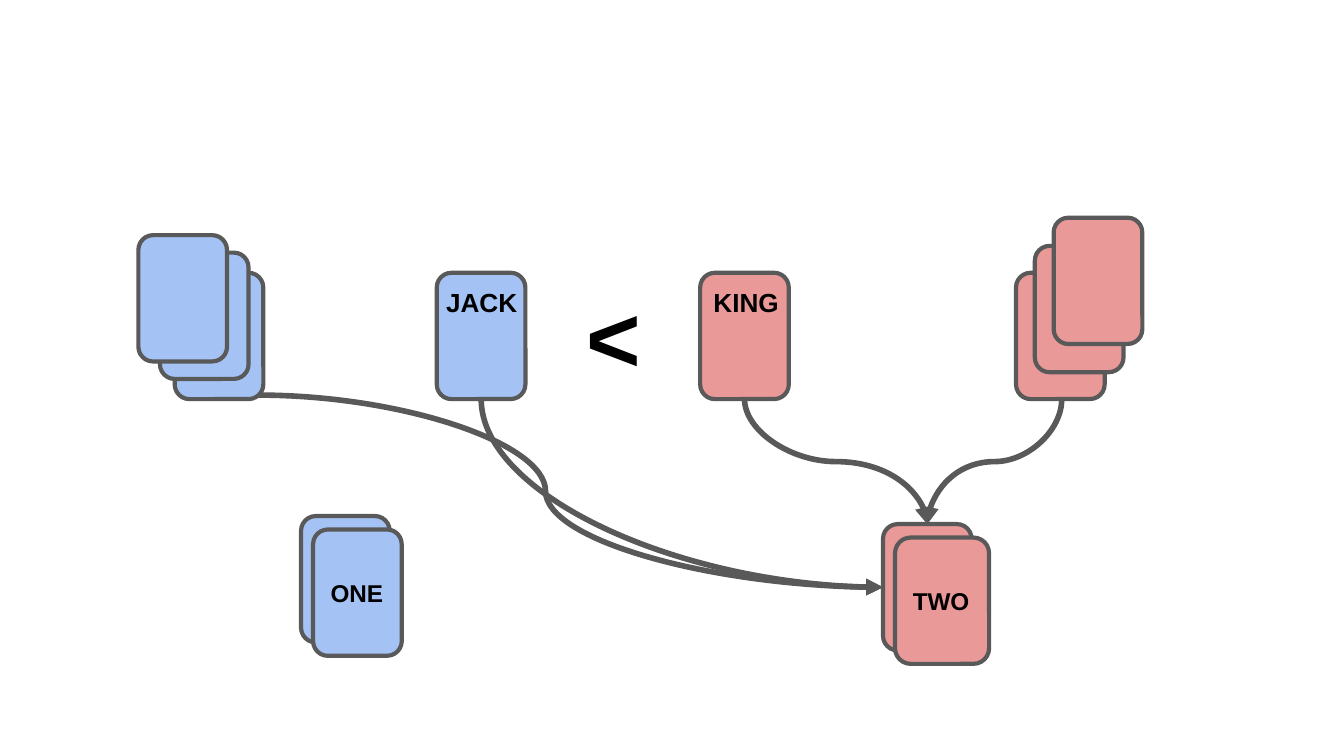
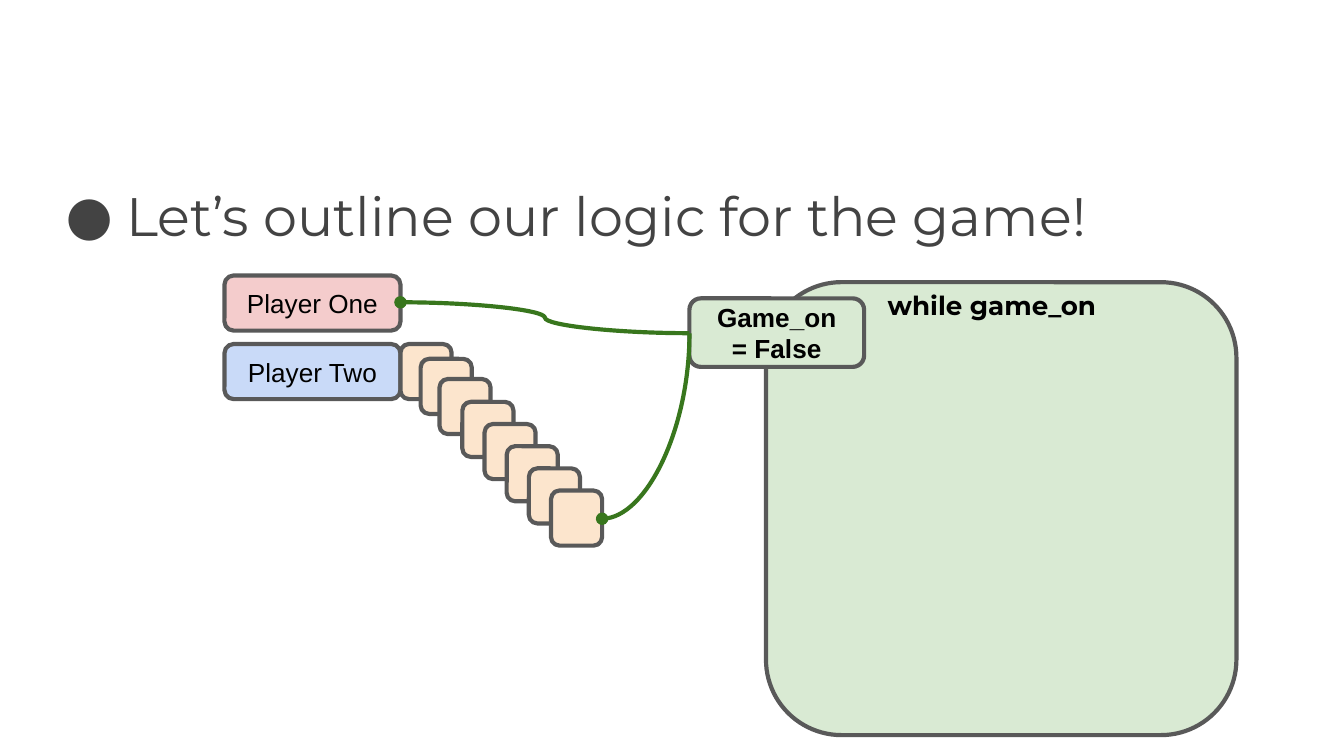
from lxml.etree import SubElement
from pptx import Presentation
from pptx.dml.color import RGBColor
from pptx.enum.shapes import MSO_CONNECTOR, MSO_SHAPE
from pptx.enum.text import MSO_ANCHOR, PP_ALIGN
from pptx.oxml.ns import qn
from pptx.util import Inches, Pt

COLORS = {
    "outline": "595959", "text": "000000", "body": "434343",
    "blue": "A4C2F4", "red": "EA9999",
    "player one": "F4CCCC", "player two": "C9DAF8",
    "hand": "FCE5CD", "loop": "D9EAD3", "exit": "38761D",
}

# Slide 1: the war round
CARD_HEIGHT = 0.94
# left, top, width, colour, label; listed from back to front
CARDS = [
    (1.3, 2.03, 0.66, "blue", ""), (1.19, 1.88, 0.66, "blue", ""),
    (1.03, 1.75, 0.66, "blue", ""),
    (7.56, 2.03, 0.66, "red", ""), (7.7, 1.83, 0.66, "red", ""),
    (7.84, 1.62, 0.66, "red", ""),
    (2.24, 3.84, 0.66, "blue", ""), (2.33, 3.94, 0.66, "blue", "ONE"),
    (6.57, 3.9, 0.66, "red", ""), (6.66, 4, 0.7, "red", "TWO"),
    (3.25, 2.03, 0.66, "blue", ""), (5.21, 2.03, 0.66, "red", ""),
]
# text, left, top, size, alignment
CARD_LABELS = [
    ("<", 4.02, 1.98, 50, PP_ALIGN.CENTER),
    ("JACK", 3.22, 2.03, 14, PP_ALIGN.LEFT),
    ("KING", 5.21, 2.03, 14, PP_ALIGN.LEFT),
]
PILE_SIDE, PILE_TOP = (6.57, 4.37), (6.9, 3.9)
# start, end, leaves downwards, bends once, midpoint share
CARD_MOVES = [
    ((3.58, 2.97), PILE_SIDE, True, True, 0.5),
    ((1.92, 2.94), PILE_SIDE, False, False, 0.46),
    ((5.54, 2.97), PILE_TOP, True, False, 0.5),
    ((7.9, 2.97), PILE_TOP, True, False, 0.5),
]

# Slide 2: the game loop
HEADLINE = "Let’s outline our logic for the game!"
PLAYERS = [("Player One", 2.05, "player one"), ("Player Two", 2.56, "player two")]
HAND = (0.38, 0.41)
HAND_START = [(2.98, 2.56), (3.13, 2.67), (3.27, 2.82)]
HAND_FIRST_EVEN, HAND_LAST, HAND_EVEN_COUNT = (3.44, 2.99), (4.1, 3.65), 5
EXIT_POINT = (5.13, 2.48)
EXIT_LINKS = [
    (EXIT_POINT, (2.98, 2.25), False, False, 0.5),
    (EXIT_POINT, (4.48, 3.86), True, True, 0.5),
]


def rgb(name):
    return RGBColor.from_string(COLORS[name])


def write(shape, text, size, bold=False, align=PP_ALIGN.LEFT,
          anchor=MSO_ANCHOR.TOP, font="Arial", color="text"):
    frame = shape.text_frame
    frame.word_wrap = True
    frame.vertical_anchor = anchor
    frame.margin_left = frame.margin_right = Inches(0.1)
    frame.margin_top = frame.margin_bottom = Inches(0.1)
    frame.text = text
    para = frame.paragraphs[0]
    para.alignment = align
    span = para.runs[0].font
    span.name, span.size, span.bold = font, Pt(size), bold
    span.color.rgb = rgb(color)
    return para


def add_label(page, place, text, size, **style):
    box = page.shapes.add_textbox(*map(Inches, place))
    return write(box, text, size, **style)


def add_box(page, place, color, text="", size=14, **style):
    box = page.shapes.add_shape(MSO_SHAPE.ROUNDED_RECTANGLE, *map(Inches, place))
    box.shadow.inherit = False
    box.fill.solid()
    box.fill.fore_color.rgb = rgb(color)
    box.line.color.rgb = rgb("outline")
    box.line.width = Pt(2.25)
    if text:
        write(box, text, size, anchor=MSO_ANCHOR.MIDDLE, **style)


def add_curve(page, start, end, downwards, one_bend, share, color, width, head):
    (x1, y1), (x2, y2) = start, end
    ends = (x1, y1, x2, y2)
    if downwards:
        # The frame lies on its side around the same centre, then is turned
        half_w, half_h = abs(y2 - y1) / 2, abs(x2 - x1) / 2
        mid_x, mid_y = (x1 + x2) / 2, (y1 + y2) / 2
        ends = (mid_x - half_w, mid_y - half_h, mid_x + half_w, mid_y + half_h)
    curve = page.shapes.add_connector(MSO_CONNECTOR.CURVE, *map(Inches, ends))
    curve.line.color.rgb = rgb(color)
    curve.line.width = Pt(width)
    properties = curve._element.spPr
    if downwards:
        frame = properties.find(qn("a:xfrm"))
        frame.set("rot", str((270 if x2 > x1 else 90) * 60000))
        if x2 > x1:
            frame.set("flipH", "1")
    geometry = properties.find(qn("a:prstGeom"))
    if one_bend:
        geometry.set("prst", "curvedConnector2")
    else:
        guides = geometry.find(qn("a:avLst"))
        SubElement(guides, qn("a:gd"), name="adj1", fmla=f"val {round(share * 100000)}")
    SubElement(properties.find(qn("a:ln")), qn("a:tailEnd"), type=head)
    SubElement(properties, qn("a:effectLst"))


def add_bullet(para, color, font):
    settings = para._p.get_or_add_pPr()
    settings.set("marL", str(Inches(0.5)))
    settings.set("indent", str(Inches(-0.45)))
    bullet_color = SubElement(settings, qn("a:buClr"))
    SubElement(bullet_color, qn("a:srgbClr"), val=COLORS[color])
    SubElement(settings, qn("a:buFont"), typeface=font)
    SubElement(settings, qn("a:buChar"), char="●")


def build_round(page):
    for left, top, width, color, text in CARDS:
        add_box(page, (left, top, width, CARD_HEIGHT), color, text, 13, bold=True)
    for text, left, top, size, align in CARD_LABELS:
        add_label(page, (left, top, 1.09, 0.48), text, size, bold=True, align=align)
    for move in CARD_MOVES:
        add_curve(page, *move, "outline", 3, "triangle")


def build_loop(page):
    center = PP_ALIGN.CENTER
    add_box(page, (5.7, 2.1, 3.5, 3.37), "loop")
    headline = add_label(page, (0.34, 1.26, 9.5, 3.74), HEADLINE, 29,
                         font="Montserrat", color="body")
    add_bullet(headline, "body", "Montserrat")

    # Players and the hand
    for text, top, color in PLAYERS:
        add_box(page, (1.67, top, 1.31, 0.41), color, text, align=center)
    left, top = HAND_FIRST_EVEN
    step = (HAND_LAST[0] - left) / (HAND_EVEN_COUNT - 1)
    even = [(left + i * step, top + i * step) for i in range(HAND_EVEN_COUNT)]
    for corner in HAND_START + even:
        add_box(page, corner + HAND, "hand")

    # Loop title and its way out
    add_label(page, (6.14, 2.05, 2.48, 0.41), "while game_on", 14,
              bold=True, align=center, font="Montserrat")
    add_box(page, (5.13, 2.22, 1.3, 0.51), "loop", "Game_on = False",
            bold=True, align=center)
    for link in EXIT_LINKS:
        add_curve(page, *link, "exit", 2.25, "oval")


def main():
    deck = Presentation()
    deck.slide_width = Inches(10)
    deck.slide_height = deck.slide_width * 9 // 16
    for build in (build_round, build_loop):
        build(deck.slides.add_slide(deck.slide_layouts[6]))
    deck.save("out.pptx")


if __name__ == "__main__":
    main()
